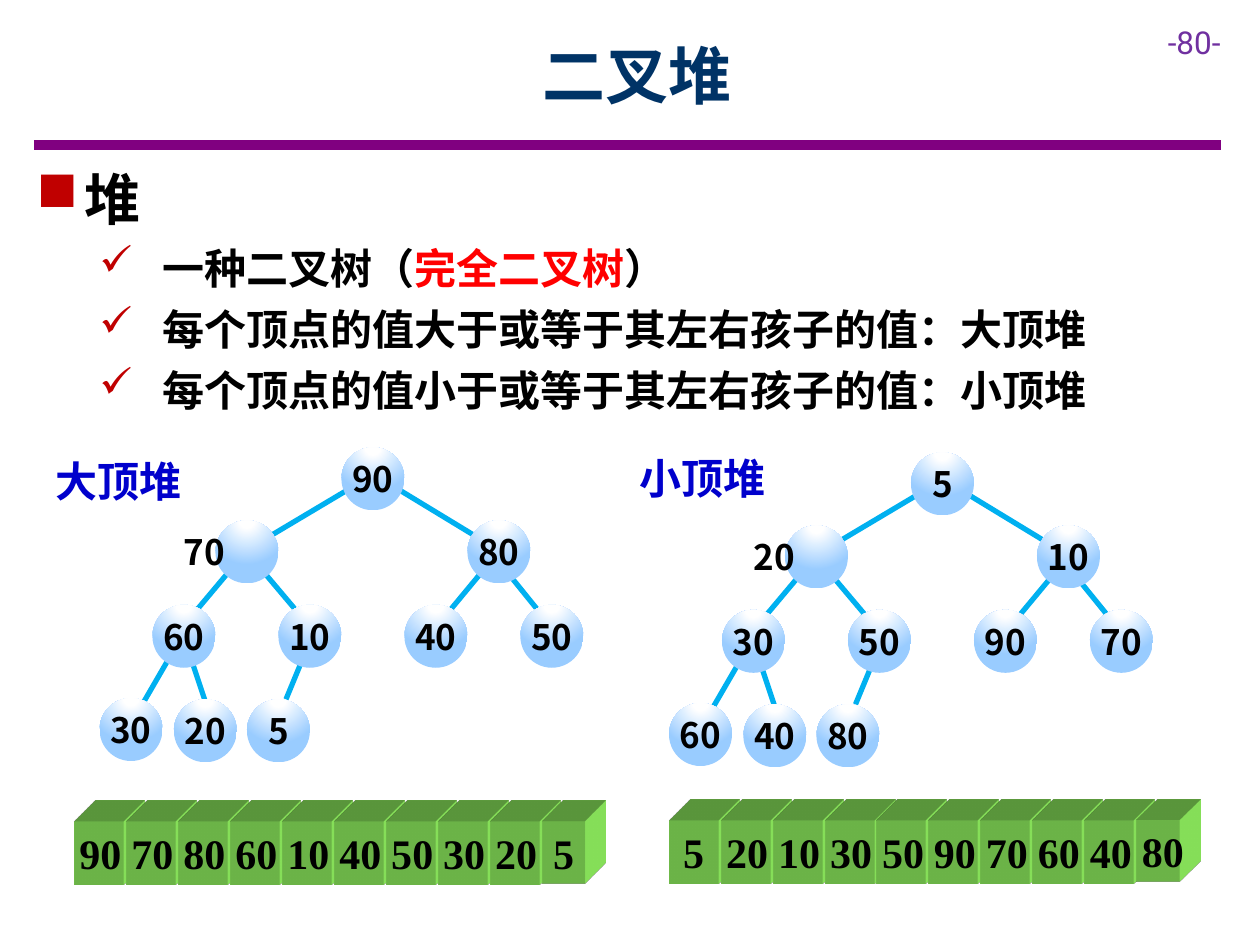
from lxml import etree
from pptx import Presentation
from pptx.dml.color import RGBColor
from pptx.enum.shapes import MSO_CONNECTOR, MSO_SHAPE
from pptx.enum.text import MSO_ANCHOR, PP_ALIGN
from pptx.oxml import parse_xml
from pptx.util import Inches, Pt

LINE, OVAL, RECT = MSO_CONNECTOR.STRAIGHT, MSO_SHAPE.OVAL, MSO_SHAPE.RECTANGLE
LEFT, CENTER = PP_ALIGN.LEFT, PP_ALIGN.CENTER
TOP, MID = MSO_ANCHOR.TOP, MSO_ANCHOR.MIDDLE
URI = "http://schemas.openxmlformats.org/drawingml/2006/main"
NS = f'xmlns:a="{URI}"'
SANS, SERIF = "Noto Sans CJK SC", "Times New Roman"
BLACK, RED, BLUE, NAVY = "000000", "FF0000", "0000CC", "003366"

# Each line: size, left margin, hanging indent, bullet, runs of (text, colour)
POINTS = [
    (32, 0.38, 0.38, "■", [("堆", BLACK)]),
    (24, 1, 0.5, "✓", [("一种二叉树（", BLACK), ("完全二叉树", RED), ("）", BLACK)]),
    (24, 1, 0.5, "✓", [("每个顶点的值大于或等于其左右孩子的值：大顶堆", BLACK)]),
    (24, 1, 0.5, "✓", [("每个顶点的值小于或等于其左右孩子的值：小顶堆", BLACK)]),
]
# Values are in level order; the array below each tree holds the same ones
HEAPS = [
    dict(name="大顶堆", label=(0.34, 3.57), shift=(0, 0), row=(0.59, 6.52),
         vals=[90, 70, 80, 60, 10, 40, 50, 30, 20, 5]),
    dict(name="小顶堆", label=(4.98, 3.54), shift=(4.52, 0.04), row=(5.31, 6.51),
         vals=[5, 20, 10, 30, 50, 90, 70, 60, 40, 80]),
]
NODES = [(2.71, 3.55), (1.71, 4.13), (3.71, 4.13), (1.21, 4.8), (2.21, 4.8),
         (3.21, 4.8), (4.13, 4.8), (0.79, 5.54), (1.38, 5.55), (1.96, 5.55)]
EDGES = [(2.84, 3.84, 2, 4.34), (3.09, 3.84, 3.88, 4.32),
         (1.84, 4.51, 1.42, 5.01), (2, 4.43, 2.38, 4.88),
         (3.89, 4.46, 3.5, 4.93), (4, 4.51, 4.34, 4.93),
         (1.42, 5.09, 1.13, 5.59), (1.5, 5.18, 1.65, 5.63),
         (2.46, 5.09, 2.27, 5.55)]
SIDE, STEP = 0.5, 0.4125

GRAD = f"""<a:gradFill {NS} rotWithShape="1"><a:gsLst>
<a:gs pos="0"><a:srgbClr val="FFFFFF"/></a:gs>
<a:gs pos="18000"><a:srgbClr val="FFFFFF"/></a:gs>
<a:gs pos="100000"><a:srgbClr val="99CCFF"/></a:gs></a:gsLst>
<a:path path="circle"><a:fillToRect l="50000" t="-80000" r="50000" b="180000"/></a:path>
</a:gradFill>"""
SCENE = f"""<a:scene3d {NS}><a:camera prst="legacyObliqueTopRight"/>
<a:lightRig rig="legacyFlat3" dir="b"/></a:scene3d>"""
DEPTH = f"""<a:sp3d {NS} extrusionH="430200" prstMaterial="legacyMatte">
<a:bevelT w="13500" h="13500" prst="angle"/><a:bevelB w="13500" h="13500" prst="angle"/>
<a:extrusionClr><a:srgbClr val="99FF66"/></a:extrusionClr></a:sp3d>"""


def rgb(code):
    return RGBColor.from_string(code)


def add(parent, tag, **attrs):
    return etree.SubElement(parent, f"{{{URI}}}{tag}", attrs)


def write(para, text, size=24, font=SANS, color=BLACK, bold=True, align=LEFT):
    para.alignment = align
    run = para.add_run()
    run.text = text
    run.font.size, run.font.bold, run.font.name = Pt(size), bold, font
    run.font.color.rgb = rgb(color)
    add(run.font._element, "ea", typeface=font)


def box(slide, x, y, w, h, anchor=TOP):
    """Add a text box and return its frame."""
    frame = slide.shapes.add_textbox(*map(Inches, (x, y, w, h))).text_frame
    frame.word_wrap, frame.vertical_anchor = True, anchor
    return frame


def line(slide, ends, color, width):
    link = slide.shapes.add_connector(LINE, *map(Inches, ends))
    link.line.color.rgb, link.line.width = rgb(color), Pt(width)
    add(link._element.spPr, "effectLst")


def solid(slide, kind, x, y, w, h, text, pad, **style):
    """Add a shape with unwrapped text."""
    shape = slide.shapes.add_shape(kind, *map(Inches, (x, y, w, h)))
    shape.shadow.inherit = False
    frame = shape.text_frame
    frame.word_wrap, frame.vertical_anchor = False, MID
    frame.margin_left = frame.margin_right = Inches(pad)
    frame.margin_top = frame.margin_bottom = Inches(0.04)
    write(frame.paragraphs[0], text, **style)
    return shape


def bullet(para, left, hang, mark):
    props = para._p.get_or_add_pPr()
    props.set("marL", str(Inches(left)))
    props.set("indent", str(-Inches(hang)))
    add(add(props, "buClr"), "srgbClr", val="C00000")
    add(props, "buFont", typeface="OpenSymbol")
    add(props, "buChar", char=mark)


def tree(slide, vals, shift):
    dx, dy = shift
    for x1, y1, x2, y2 in EDGES:
        line(slide, (x1 + dx, y1 + dy, x2 + dx, y2 + dy), "00B0F0", 3)
    for i, (val, (x, y)) in enumerate(zip(vals, NODES)):
        text = f"{val}\t" if i == 1 else str(val)
        node = solid(slide, OVAL, x + dx, y + dy, SIDE, SIDE, text, 0,
                     size=20, align=CENTER)
        node.line.fill.background()
        node._element.spPr.find(f"{{{URI}}}prstGeom").addnext(parse_xml(GRAD))
        if i == 1:
            props = node.text_frame.paragraphs[0]._p.get_or_add_pPr()
            add(add(props, "tabLst"), "tab", pos=str(Inches(1)), algn="l")


def array(slide, vals, row):
    left, top = row
    for i, val in enumerate(vals):
        w, h = (0.34, 0.49) if i == len(vals) - 1 else (0.39, 0.5)
        cell = solid(slide, RECT, left + i * STEP, top, w, h, str(val), 0.04,
                     font=SERIF, align=CENTER if val < 10 else LEFT)
        cell.fill.solid()
        cell.fill.fore_color.rgb = rgb("99FF66")
        cell.line.color.rgb, cell.line.width = rgb("FFFFFF"), Pt(1.5)
        for part in (SCENE, DEPTH):
            cell._element.spPr.append(parse_xml(part))


def main():
    deck = Presentation()
    deck.slide_width, deck.slide_height = Inches(10), Inches(7.5)
    slide = deck.slides.add_slide(deck.slide_layouts[6])

    line(slide, (0.27, 1.15, 9.69, 1.15), "800080", 6)
    write(box(slide, 9.17, 0.13, 0.83, 0.4).paragraphs[0], "-80-",
          size=18, font="Roboto", color="7030A0", bold=False)
    write(box(slide, 0.9, 0.09, 8.31, 1, anchor=MID).paragraphs[0], "二叉堆",
          size=36, color=NAVY, align=CENTER)

    frame = box(slide, 0.19, 1.26, 9.22, 2.1)
    for i, (size, left, hang, mark, runs) in enumerate(POINTS):
        para = frame.add_paragraph() if i else frame.paragraphs[0]
        para.space_after = Pt(6)
        for text, color in runs:
            write(para, text, size=size, color=color)
        bullet(para, left, hang, mark)

    for heap in HEAPS:
        tree(slide, heap["vals"], heap["shift"])
        array(slide, heap["vals"], heap["row"])
        label = box(slide, *heap["label"], 1.3, 0.5)
        write(label.paragraphs[0], heap["name"], color=BLUE)
    deck.save("out.pptx")


if __name__ == "__main__":
    main()
